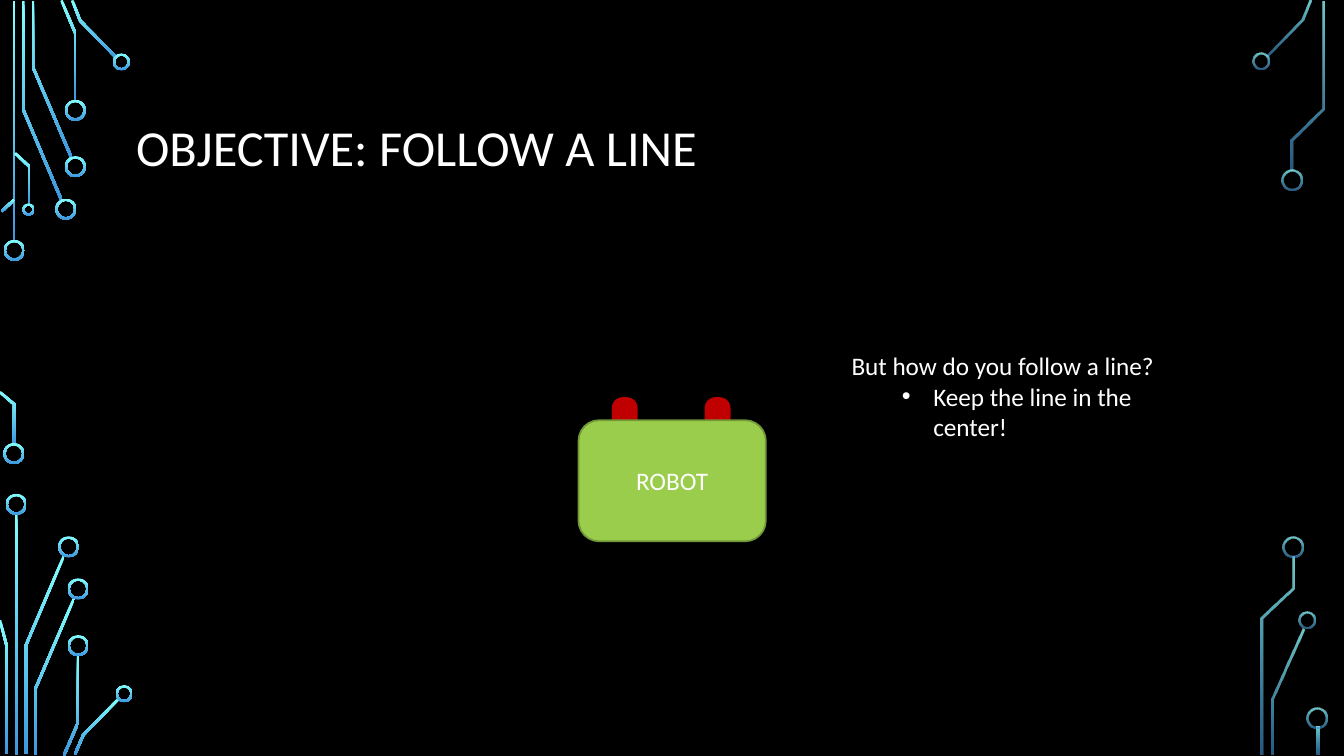
from dataclasses import dataclass

from lxml import etree
from pptx import Presentation
from pptx import util as u
from pptx.dml import color
from pptx.enum import shapes, text
from pptx.oxml import ns

FONT = "Calibri"
WHITE, BLACK, RED, GREEN, DARK_GREEN = "FFFFFF", "000000", "C00000", "9ACD4C", "729838"
GRADIENT = ("82FFFF", "3D97DE")
TRACE_WIDTH = 0.065
RING_WIDTH = 0.055


@dataclass(frozen=True)
class Box:
    left: float
    top: float
    width: float
    height: float

    def lengths(self) -> list:
        return [u.Cm(value) for value in (self.left, self.top, self.width, self.height)]


@dataclass(frozen=True)
class Ring:
    x: float
    y: float
    diameter: float = 0.53


@dataclass(frozen=True)
class Circuit:
    opacities: tuple
    traces: list
    rings: list


@dataclass(frozen=True)
class Block:
    box: Box
    kind: shapes.MSO_SHAPE
    fill: str
    line: str
    rounding: float = 0
    label: str = ""


LEFT_CIRCUIT = Circuit(
    (100, 100),
    [
        [(0.35, 0.03), (0.35, 6.1)],
        [(1.55, 5.04), (0.59, 2.77), (0.59, 0.03)],
        [(1.8, 3.97), (0.83, 1.69), (0.83, 0.03)],
        [(1.9, 2.54), (1.9, 0.84), (1.55, 0.01)],
        [(2.93, 1.45), (2.02, 0.52), (1.82, 0.01)],
        [(0.04, 5.33), (0.36, 5.03)],
        [(0.36, 11.2), (0.36, 10.19), (0, 9.88)],
        [(0.74, 5.16), (0.74, 4.2), (0.38, 3.86)],
        [(0.41, 12.96), (0.41, 19.02)],
        [(0.65, 19), (0.65, 16.27), (1.61, 14.01)],
        [(0.17, 19), (0.17, 16.28), (0, 15.63)],
        [(0.9, 19.02), (0.9, 17.34), (1.87, 15.07)],
        [(1.61, 19.04), (1.97, 18.21), (1.97, 16.51)],
        [(1.89, 19.01), (2.1, 18.52), (3, 17.6)],
    ],
    [
        Ring(0.36, 6.31), Ring(0.35, 11.43), Ring(1.66, 5.27), Ring(1.9, 4.2),
        Ring(1.9, 2.78), Ring(3.06, 1.56, 0.43), Ring(0.72, 5.28, 0.31),
        Ring(0.41, 12.71), Ring(1.73, 13.78), Ring(1.97, 14.84),
        Ring(1.97, 16.27), Ring(3.13, 17.48, 0.43),
    ],
)
RIGHT_CIRCUIT = Circuit(
    (80, 60),
    [
        [(31.93, 1.41), (32.83, 0.5), (33.03, 0.01)],
        [(32.07, 19.02), (32.07, 17.61), (32.84, 15.84)],
        [(32.56, 4.29), (32.56, 3.52), (33.34, 2.73), (33.34, 0.03)],
        [(31.81, 19.02), (31.81, 15.58), (32.6, 14.82), (32.6, 14.02)],
        [(33.21, 18.31), (33.21, 19.02)],
    ],
    [
        Ring(31.79, 1.54, 0.43), Ring(32.57, 4.54), Ring(32.93, 15.63, 0.43),
        Ring(32.59, 13.78), Ring(33.18, 18.09),
    ],
)
ROUNDED = shapes.MSO_SHAPE.ROUNDED_RECTANGLE
SENSORS = [Block(Box(left, 10.03, 0.61, 0.94), ROUNDED, RED, RED, 0.42) for left in (17.78, 15.44)]
LINE = Block(Box(16.38, 6.22, 1.12, 9.83), shapes.MSO_SHAPE.RECTANGLE, BLACK, BLACK)
ROBOT = Block(Box(14.58, 10.59, 4.72, 3.05), ROUNDED, GREEN, DARK_GREEN, 0.17, "ROBOT")


def rgb(value: str) -> color.RGBColor:
    return color.RGBColor.from_string(value)


def fill_gradient(shape, opacities: tuple) -> None:
    shape.shadow.inherit = False
    shape.line.fill.background()
    shape.fill.gradient()
    shape.fill.gradient_angle = 270
    for stop, value in zip(shape.fill.gradient_stops, GRADIENT):
        stop.color.rgb = rgb(value)
    stop_colors = shape.fill._xPr.iter(ns.qn("a:srgbClr"))
    for stop_color, opacity in zip(stop_colors, opacities):
        if opacity < 100:
            etree.SubElement(stop_color, ns.qn("a:alpha"), val=str(opacity * 1000))


def outline(trace: list) -> list:
    points = [complex(x, y) for x, y in trace]
    steps = [(end - start) / abs(end - start) for start, end in zip(points, points[1:])]
    offsets = []
    for before, after in zip(steps[:1] + steps, steps + steps[-1:]):
        cosine = (before * after.conjugate()).real
        offsets.append(1j * (before + after) / (1 + cosine) * TRACE_WIDTH / 2)
    one_side = [point + offset for point, offset in zip(points, offsets)]
    other_side = [point - offset for point, offset in zip(points, offsets)]
    corners = one_side + other_side[::-1]
    return [(u.Cm(corner.real), u.Cm(corner.imag)) for corner in corners]


def draw_circuit(slide, circuit: Circuit) -> None:
    for trace in circuit.traces:
        start, *corners = outline(trace)
        builder = slide.shapes.build_freeform(*start)
        builder.add_line_segments(corners, close=True)
        fill_gradient(builder.convert_to_shape(), circuit.opacities)
    for ring in circuit.rings:
        size = ring.diameter
        box = Box(ring.x - size / 2, ring.y - size / 2, size, size)
        shape = slide.shapes.add_shape(shapes.MSO_SHAPE.DONUT, *box.lengths())
        shape.adjustments[0] = RING_WIDTH / size
        fill_gradient(shape, circuit.opacities)


def add_run(paragraph, content: str, size: int) -> None:
    run = paragraph.add_run()
    run.text = content
    run.font.name = FONT
    run.font.size = u.Pt(size)
    run.font.color.rgb = rgb(WHITE)


def draw_block(slide, block: Block) -> None:
    shape = slide.shapes.add_shape(block.kind, *block.box.lengths())
    shape.shadow.inherit = False
    shape.fill.solid()
    shape.fill.fore_color.rgb = rgb(block.fill)
    shape.line.color.rgb = rgb(block.line)
    shape.line.width = u.Pt(1.25)
    if block.rounding:
        shape.adjustments[0] = block.rounding
    if block.label:
        shape.text_frame.vertical_anchor = text.MSO_ANCHOR.MIDDLE
        paragraph = shape.text_frame.paragraphs[0]
        paragraph.alignment = text.PP_ALIGN.CENTER
        add_run(paragraph, block.label, 18)


def add_text_frame(slide, box: Box):
    frame = slide.shapes.add_textbox(*box.lengths()).text_frame
    frame.word_wrap = True
    return frame


def draw_title(slide) -> None:
    frame = add_text_frame(slide, Box(3.18, 1.73, 27.51, 4.11))
    frame.vertical_anchor = text.MSO_ANCHOR.MIDDLE
    paragraph = frame.paragraphs[0]
    paragraph.line_spacing = 0.9
    add_run(paragraph, "OBJECTIVE: FOLLOW A LINE", 36)


def draw_question(slide) -> None:
    frame = add_text_frame(slide, Box(21.21, 8.71, 9.47, 1.8))
    add_run(frame.paragraphs[0], "But how do you follow a line?", 18)
    answer = frame.add_paragraph()
    answer.level = 1
    add_run(answer, "Keep the line in the center!", 18)
    properties = answer._p.get_or_add_pPr()
    properties.set("marL", str(u.Cm(2.06)))
    properties.set("indent", str(u.Cm(-0.79)))
    etree.SubElement(properties, ns.qn("a:buFont"), typeface="Arial")
    etree.SubElement(properties, ns.qn("a:buChar"), char="•")


def main() -> None:
    presentation = Presentation()
    presentation.slide_width = u.Cm(33.87)
    presentation.slide_height = u.Cm(19.05)
    slide = presentation.slides.add_slide(presentation.slide_layouts[6])
    slide.background.fill.solid()
    slide.background.fill.fore_color.rgb = rgb(BLACK)
    for circuit in (LEFT_CIRCUIT, RIGHT_CIRCUIT):
        draw_circuit(slide, circuit)
    for sensor in SENSORS:
        draw_block(slide, sensor)
    draw_title(slide)
    for block in (LINE, ROBOT):
        draw_block(slide, block)
    draw_question(slide)
    presentation.save("out.pptx")


if __name__ == "__main__":
    main()
